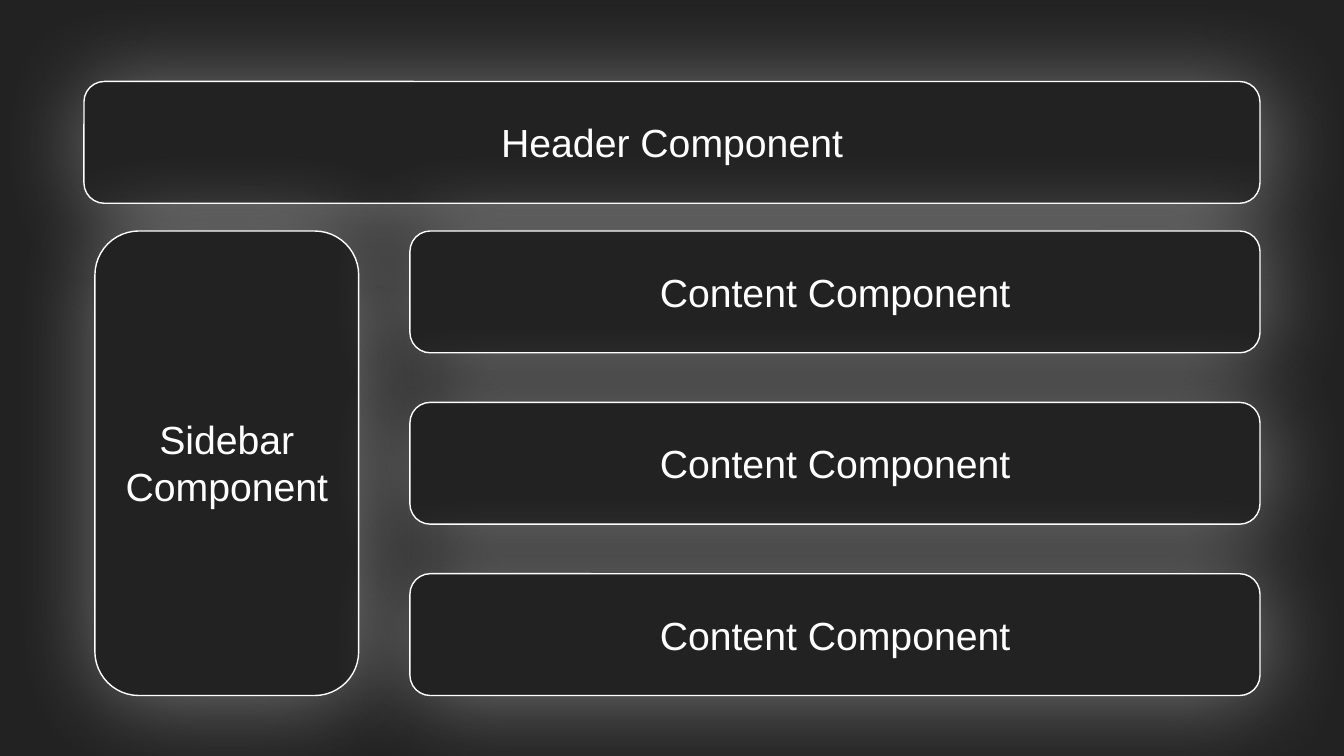
import pptx
import pptx.util
import pptx.dml.color
import pptx.enum.shapes
import pptx.enum.text
import pptx.oxml
import pptx.oxml.ns
import dataclasses


@dataclasses.dataclass(frozen=True)
class Theme:
    """Colours, font and sizes of the slide."""
    dark: str = "222222"
    light: str = "FFFFFF"
    glow: str = "D9D9D9"
    font: str = "Arial"
    size: int = 28
    rule: int = 1


class Board:
    """Draws cards and labels on a grid of 16 columns by 9 rows."""

    def __init__(self, deck, theme):
        """Keep the style and open a blank slide."""
        self.theme = theme
        self.slide = deck.slides.add_slide(deck.slide_layouts[6])
        self.col = deck.slide_width / 16
        self.row = deck.slide_height / 9

    def place(self, left, top, wide, high):
        """Turn grid units into slide lengths."""
        return (round(left * self.col), round(top * self.row),
                round(wide * self.col), round(high * self.row))

    def tint(self, code):
        """Return a colour from its code."""
        return pptx.dml.color.RGBColor.from_string(code)

    def block(self, kind, *spot):
        """Add a plain dark shape."""
        shape = self.slide.shapes.add_shape(kind, *self.place(*spot))
        shape.shadow.inherit = False
        shape.fill.solid()
        shape.fill.fore_color.rgb = self.tint(self.theme.dark)
        shape.line.fill.background()
        return shape

    def back(self):
        """Cover the whole slide."""
        self.block(pptx.enum.shapes.MSO_SHAPE.RECTANGLE, 0, 0, 16, 9)

    def card(self, *spot):
        """Add a rounded card with a light edge and a soft glow."""
        shape = self.block(pptx.enum.shapes.MSO_SHAPE.ROUNDED_RECTANGLE, *spot)
        shape.line.color.rgb = self.tint(self.theme.light)
        shape.line.width = pptx.util.Pt(self.theme.rule)
        blur, gap = pptx.util.Pt(66.8), pptx.util.Pt(3)
        glow = pptx.oxml.parse_xml(
            f'<a:outerShdw {pptx.oxml.ns.nsdecls("a")} blurRad="{blur}" '
            f'dist="{gap}" dir="2700000" algn="tl" rotWithShape="0">'
            f'<a:srgbClr val="{self.theme.glow}"><a:alpha val="45000"/>'
            '</a:srgbClr></a:outerShdw>')
        shape.element.spPr.find(pptx.oxml.ns.qn("a:effectLst")).append(glow)

    def label(self, spot, wide, lines):
        """Centre lines of text on a card's spot."""
        left, top, span, tall = spot
        high = 0.11 + 0.57 * len(lines)
        box = self.slide.shapes.add_textbox(*self.place(
            left + (span - wide) / 2, top + (tall - high) / 2, wide, high))
        frame = box.text_frame
        frame.word_wrap = True
        frame.auto_size = pptx.enum.text.MSO_AUTO_SIZE.SHAPE_TO_FIT_TEXT
        for place, line in enumerate(lines):
            para = frame.add_paragraph() if place else frame.paragraphs[0]
            para.alignment = pptx.enum.text.PP_ALIGN.CENTER
            run = para.add_run()
            run.text = line
            run.font.name = self.theme.font
            run.font.size = pptx.util.Pt(self.theme.size)
            run.font.color.rgb = self.tint(self.theme.light)


def main():
    """Build the layout slide and save it."""
    deck = pptx.Presentation()
    deck.slide_width = pptx.util.Inches(13.33)
    deck.slide_height = pptx.util.Inches(7.5)
    board = Board(deck, Theme())
    high, step, top = 1.45, 2.04, 2.75
    header = (1, 0.97, 14, high)
    side = (1.13, top, 3.14, 2 * step + high)
    rows = [(4.88, top + step * n, 10.12, high) for n in range(3)]

    board.back()
    board.card(*header)
    board.label(header, 9, ["Header Component"])
    for spot in [side, *rows]:
        board.card(*spot)
    board.label(side, 3.7, ["Sidebar", "Component"])
    for spot in rows:
        board.label(spot, 6.88, ["Content Component"])
    deck.save("out.pptx")


if __name__ == "__main__":
    main()
